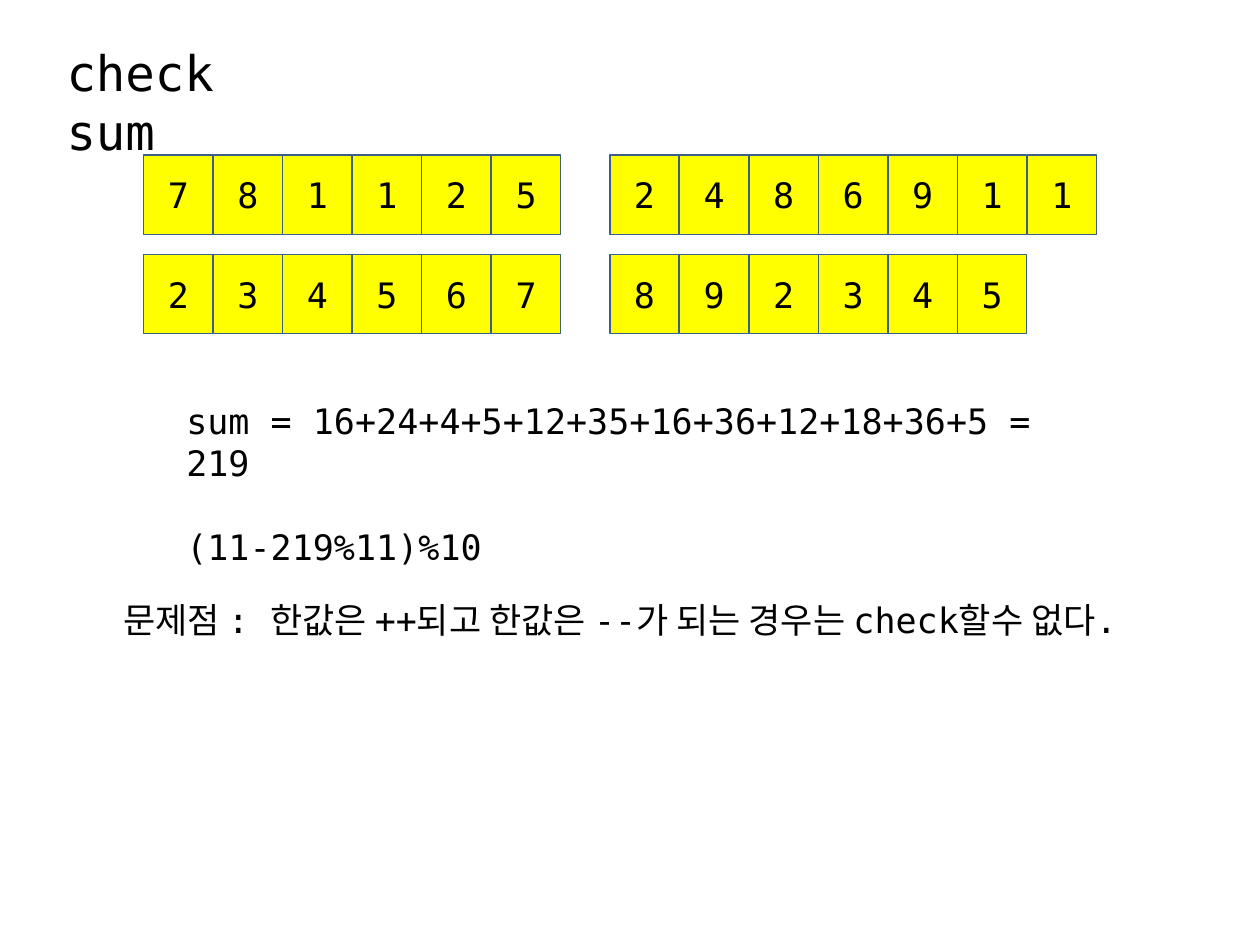
from dataclasses import dataclass

from pptx import Presentation
from pptx.dml.color import RGBColor
from pptx.enum.shapes import MSO_SHAPE
from pptx.enum.text import MSO_ANCHOR, MSO_AUTO_SIZE, PP_ALIGN
from pptx.slide import Slide
from pptx.util import Inches, Pt

FONT = "DejaVu Sans Mono"
BLACK = RGBColor(0x00, 0x00, 0x00)
YELLOW = RGBColor(0xFF, 0xFF, 0x00)
BLUE = RGBColor(0x3A, 0x5F, 0x8C)

CELL_WIDTH, CELL_HEIGHT = 0.55, 0.63
CELL_PITCH = 0.552
BODY_SIZE = 20


@dataclass
class DigitRow:
    left: float
    top: float
    digits: str


@dataclass
class Label:
    left: float
    top: float
    width: float
    height: float
    lines: tuple[str, ...]
    size: int = BODY_SIZE
    gap: int = 0  # points between paragraphs


DIGIT_ROWS = (
    DigitRow(1.14, 1.23, "781125"),
    DigitRow(4.84, 1.23, "2486911"),
    DigitRow(1.14, 2.02, "234567"),
    DigitRow(4.84, 2.02, "892345"),
)

TITLE = Label(0.43, 0.29, 2.14, 0.57, ("check sum",), size=28)
FORMULA = Label(
    1.38, 3.12, 6.99, 1.11,
    ("sum = 16+24+4+5+12+35+16+36+12+18+36+5 = 219", "(11-219%11)%10"),
    gap=24,
)
PROBLEM = Label(
    0.88, 4.7, 9.33, 0.44,
    ("문제점 : 한값은 ++되고 한값은 --가 되는 경우는 check할수 없다.",),
)


def style_font(para, size: int) -> None:
    para.font.name = FONT
    para.font.size = Pt(size)
    para.font.color.rgb = BLACK


def draw_label(page: Slide, label: Label) -> None:
    box = page.shapes.add_textbox(
        Inches(label.left), Inches(label.top), Inches(label.width), Inches(label.height)
    )
    frame = box.text_frame
    frame.word_wrap = True
    frame.auto_size = MSO_AUTO_SIZE.NONE
    frame.text = "\n".join(label.lines)
    for index, para in enumerate(frame.paragraphs):
        style_font(para, label.size)
        if index:
            para.space_before = Pt(label.gap)


def draw_digits(page: Slide, row: DigitRow) -> None:
    for index, digit in enumerate(row.digits):
        cell = page.shapes.add_shape(
            MSO_SHAPE.RECTANGLE,
            Inches(row.left + index * CELL_PITCH), Inches(row.top),
            Inches(CELL_WIDTH), Inches(CELL_HEIGHT),
        )
        cell.shadow.inherit = False
        cell.fill.solid()
        cell.fill.fore_color.rgb = YELLOW
        cell.line.color.rgb = BLUE
        cell.line.width = Pt(0.75)
        cell.text_frame.text = digit
        cell.text_frame.vertical_anchor = MSO_ANCHOR.MIDDLE
        para = cell.text_frame.paragraphs[0]
        para.alignment = PP_ALIGN.CENTER
        style_font(para, BODY_SIZE)


def main() -> None:
    deck = Presentation()
    deck.slide_width, deck.slide_height = Inches(10), Inches(7.5)
    page = deck.slides.add_slide(deck.slide_layouts[6])

    # Title
    draw_label(page, TITLE)

    # Digits above their weights
    for row in DIGIT_ROWS:
        draw_digits(page, row)

    # Calculation and its weakness
    draw_label(page, FORMULA)
    draw_label(page, PROBLEM)

    deck.save("out.pptx")


if __name__ == "__main__":
    main()
